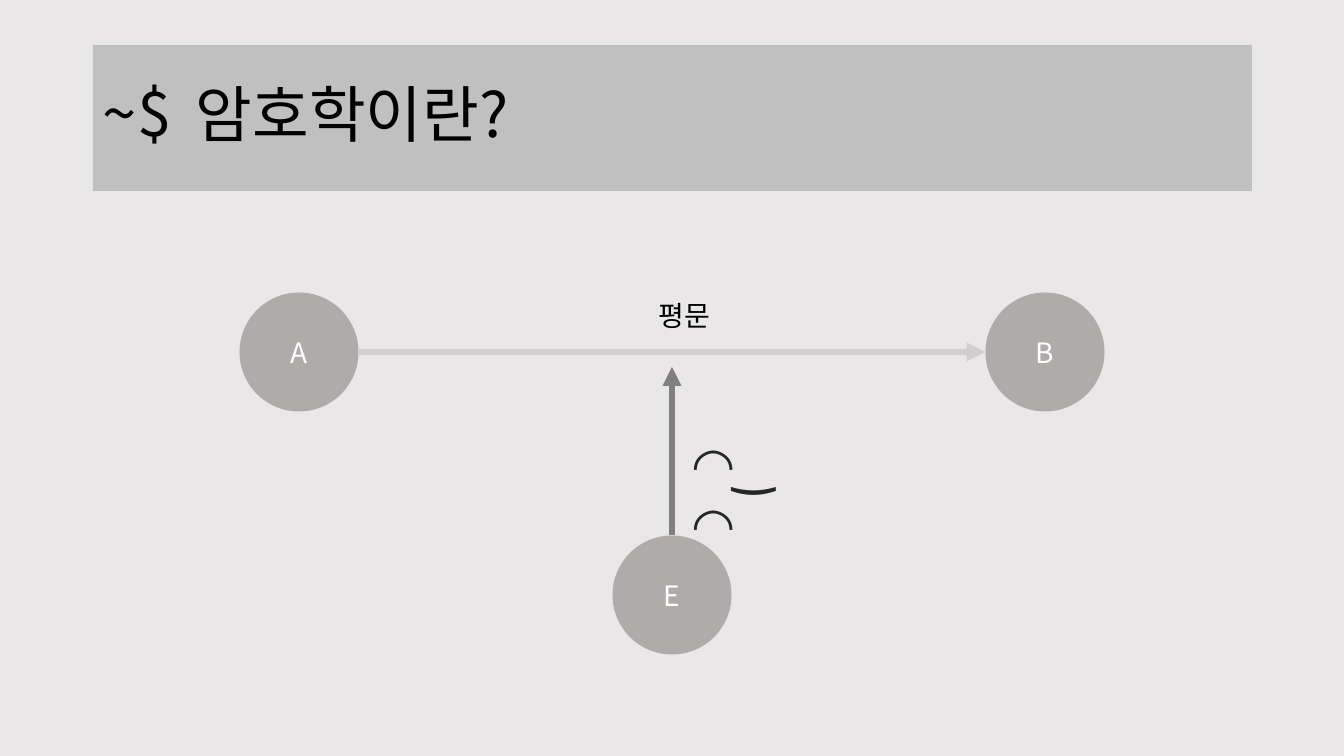
from lxml import etree
from pptx import Presentation
from pptx.dml.color import RGBColor
from pptx.enum.shapes import MSO_CONNECTOR, MSO_SHAPE
from pptx.enum.text import MSO_ANCHOR, MSO_AUTO_SIZE, PP_ALIGN
from pptx.oxml.ns import qn
from pptx.util import Pt

LEFT, CENTER = PP_ALIGN.LEFT, PP_ALIGN.CENTER
MIDDLE = MSO_ANCHOR.MIDDLE
FIT_SHAPE, NO_FIT = MSO_AUTO_SIZE.SHAPE_TO_FIT_TEXT, MSO_AUTO_SIZE.NONE
OVAL, STRAIGHT = MSO_SHAPE.OVAL, MSO_CONNECTOR.STRAIGHT

SLIDE_SIZE = (1344, 756)
EMU_PER_PX = 12192000 / 1344
FONT = "Noto Sans CJK KR"
COLORS = {
    "background": "E9E7E7", "black": "000000", "white": "FFFFFF",
    "node": "AFABAB", "channel": "D0CECE", "tap": "808080", "face": "262626",
}

TITLE = "암호학이란?"
TITLE_BOX = (93, 45, 1159, 146)
TITLE_MARGINS = {"margin_left": 103, "margin_top": 5, "margin_right": 10, "margin_bottom": 5}
TITLE_OPACITY = 17

NODE_SIZE = 119
NODE_CENTERS = {"A": (299, 352), "B": (1045, 352), "E": (672, 595)}
TAP_TIP = (672, 367)

# text, box, alignment, font format
PROMPT = ("~$", (93, 70, 212, 85), LEFT, {"size": Pt(44)}, "black")
NOTES = [
    ("평문", (598, 294, 173, 44), CENTER, {"size": Pt(20)}, "black"),
    ("◠‿◠", (684, 428, 119, 72), LEFT, {"size": Pt(36), "bold": True}, "face"),
]


def px(*lengths):
    return [round(length * EMU_PER_PX) for length in lengths]


def rgb(name):
    return RGBColor.from_string(COLORS[name])


def write(shape, text, alignment, font_format, color):
    paragraph = shape.text_frame.paragraphs[0]
    paragraph.alignment = alignment
    run = paragraph.add_run()
    run.text = text
    for name, value in {"name": FONT, **font_format}.items():
        setattr(run.font, name, value)
    run.font.color.rgb = rgb(color)
    latin = run.font._element.find(qn("a:latin"))
    for tag in ("a:sym", "a:cs", "a:ea"):
        latin.addnext(latin.makeelement(qn(tag), {"typeface": FONT}))


def add_text(slide, text, box, alignment, font_format, color):
    shape = slide.shapes.add_textbox(*px(*box))
    shape.text_frame.word_wrap = True
    shape.text_frame.auto_size = FIT_SHAPE
    write(shape, text, alignment, font_format, color)
    return shape


def format_title(title):
    title.left, title.top, title.width, title.height = px(*TITLE_BOX)
    title.fill.solid()
    title.fill.fore_color.rgb = rgb("black")
    fill_color = title.element.spPr.find(qn("a:solidFill"))[0]
    etree.SubElement(fill_color, qn("a:alpha"), val=str(TITLE_OPACITY * 1000))
    frame = title.text_frame
    for name, margin in TITLE_MARGINS.items():
        setattr(frame, name, px(margin)[0])
    frame.vertical_anchor = MIDDLE
    frame.auto_size = NO_FIT
    frame.paragraphs[0].line_spacing = 0.9
    write(title, TITLE, LEFT, {"size": Pt(44)}, "black")


def add_node(slide, label, center):
    corner = [position - NODE_SIZE / 2 for position in center]
    node = slide.shapes.add_shape(OVAL, *px(*corner, NODE_SIZE, NODE_SIZE))
    node.shadow.inherit = False
    node.fill.solid()
    node.fill.fore_color.rgb = rgb("node")
    node.line.fill.background()
    node.text_frame.vertical_anchor = MIDDLE
    write(node, label, CENTER, {"size": Pt(20)}, "white")


def add_arrow(slide, start, end, color):
    arrow = slide.shapes.add_connector(STRAIGHT, *px(*start, *end))
    arrow.line.width = Pt(4.5)
    arrow.line.color.rgb = rgb(color)
    etree.SubElement(arrow.line._get_or_add_ln(), qn("a:tailEnd"), type="triangle")
    etree.SubElement(arrow.element.spPr, qn("a:effectLst"))


def main():
    presentation = Presentation()
    presentation.slide_width, presentation.slide_height = px(*SLIDE_SIZE)
    slide = presentation.slides.add_slide(presentation.slide_layouts[5])
    slide.background.fill.solid()
    slide.background.fill.fore_color.rgb = rgb("background")

    title = slide.shapes.title
    format_title(title)
    prompt = add_text(slide, *PROMPT)
    title.element.addprevious(prompt.element)  # the prompt lies behind the title bar

    for label, center in NODE_CENTERS.items():
        add_node(slide, label, center)

    radius = NODE_SIZE / 2
    (a_x, a_y), (b_x, b_y), (e_x, e_y) = NODE_CENTERS.values()
    add_arrow(slide, (a_x + radius, a_y), (b_x - radius, b_y), "channel")
    add_arrow(slide, (e_x, e_y - radius), TAP_TIP, "tap")

    for note in NOTES:
        add_text(slide, *note)
    presentation.save("out.pptx")


if __name__ == "__main__":
    main()
